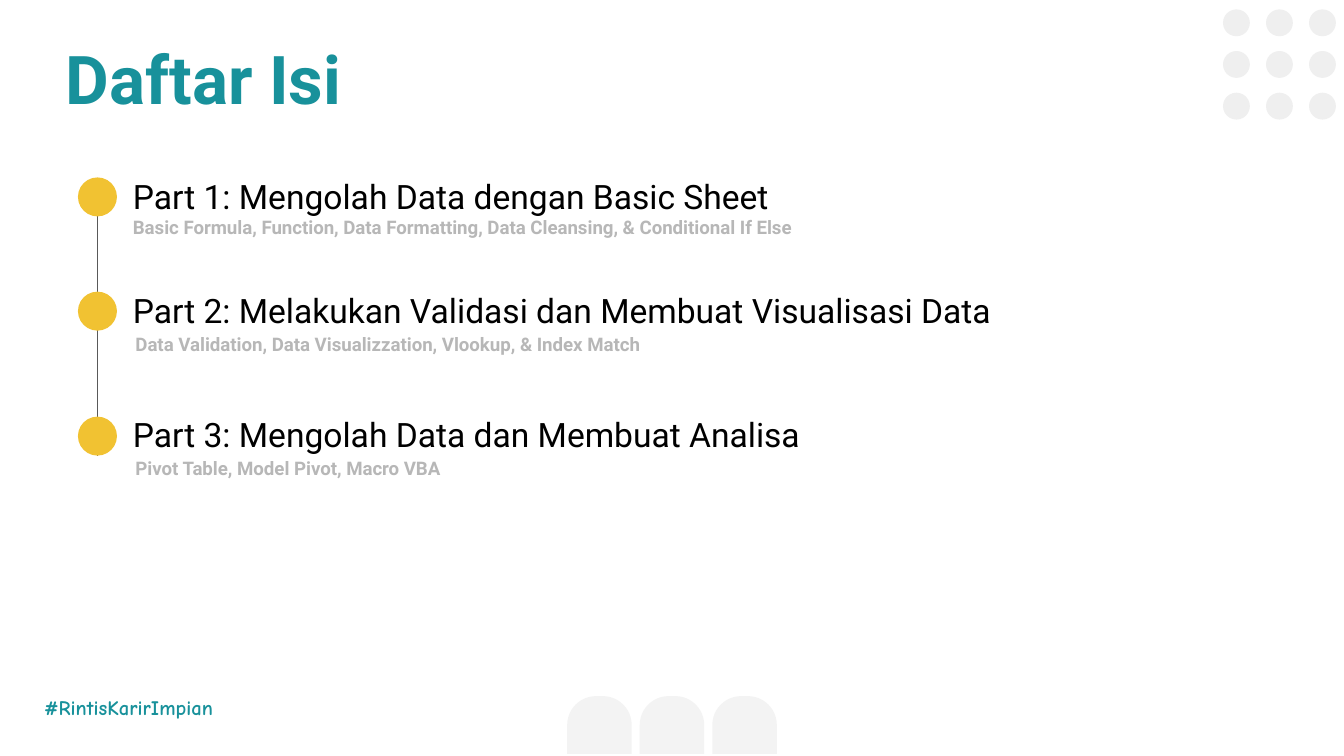
from pptx import Presentation
from pptx.dml.color import RGBColor
from pptx.enum.shapes import MSO_CONNECTOR, MSO_SHAPE
from pptx.enum.text import MSO_ANCHOR
from pptx.oxml.ns import qn
from pptx.util import Inches, Pt
from lxml import etree

OVAL = MSO_SHAPE.OVAL
ARCH = MSO_SHAPE.ROUND_2_SAME_RECTANGLE
STRAIGHT = MSO_CONNECTOR.STRAIGHT
TOP = MSO_ANCHOR.TOP
MIDDLE = MSO_ANCHOR.MIDDLE

TEAL = RGBColor(0x18, 0x91, 0x9B)
YELLOW = RGBColor(0xF1, 0xC2, 0x32)
BLACK = RGBColor(0x00, 0x00, 0x00)
GREY = RGBColor(0xB7, 0xB7, 0xB7)
DARK_GREY = RGBColor(0x59, 0x59, 0x59)
DOT_GREY = RGBColor(0xEF, 0xEF, 0xEF)
ARCH_GREY = RGBColor(0xF3, 0xF3, 0xF3)

HEADING = (18, BLACK, False)
TOPICS = (10, GREY, True)
MARKER = 0.29


class ContentsSlide:
    """Draws the elements of a contents slide in one shared style."""

    def __init__(self, page, font="Roboto"):
        self.page = page
        self.font = font

    def shape(self, kind, left, top, width, height, color):
        shape = self.page.shapes.add_shape(
            kind, Inches(left), Inches(top), Inches(width), Inches(height))
        shape.shadow.inherit = False
        shape.fill.solid()
        shape.fill.fore_color.rgb = color
        shape.line.fill.background()
        return shape

    def line(self, x, top, bottom):
        line = self.page.shapes.add_connector(
            STRAIGHT, Inches(x), Inches(top), Inches(x), Inches(bottom))
        line.line.color.rgb = DARK_GREY
        line.line.width = Pt(0.75)
        etree.SubElement(line._element.spPr, qn("a:effectLst"))

    def text(self, left, top, width, height, lines, anchor=TOP, font=None):
        box = self.page.shapes.add_textbox(
            Inches(left), Inches(top), Inches(width), Inches(height))
        frame = box.text_frame
        frame.word_wrap = True
        frame.vertical_anchor = anchor
        frame.margin_left = frame.margin_right = Inches(0.1)
        frame.margin_top = frame.margin_bottom = Inches(0.1)
        frame.text = "\n".join(words for words, style in lines)
        for para, (words, (size, color, bold)) in zip(frame.paragraphs, lines):
            span = para.runs[0]
            span.font.name = font or self.font
            span.font.size = Pt(size)
            span.font.color.rgb = color
            span.font.bold = bold


def main():
    deck = Presentation()
    deck.slide_width = Inches(10)
    deck.slide_height = Inches(10 * 9 / 16)
    slide = ContentsSlide(deck.slides.add_slide(deck.slide_layouts[6]))

    for column in range(3):
        arch = slide.shape(ARCH, 4.22 + 0.54 * column, 5.18, 0.48, 0.43, ARCH_GREY)
        arch.adjustments[0] = 0.5
    for row in range(3):
        for column in range(3):
            slide.shape(OVAL, 9.1 + 0.32 * column, 0.07 + 0.31 * row, 0.2, 0.2, DOT_GREY)

    slide.text(0.23, 5.08, 1.57, 0.39, [("#RintisKarirImpian", (11, TEAL, True))],
               font="Comic Neue")
    slide.text(0.39, 0.18, 8.62, 0.81, [("Daftar Isi", (36, TEAL, True))])

    slide.line(0.58 + MARKER / 2, 1.61, 3.39)
    for top in (1.32, 2.17, 3.1):
        slide.shape(OVAL, 0.58, top, MARKER, MARKER, YELLOW)

    slide.text(0.89, 1.21, 6.31, 0.67, [
        ("Part 1: Mengolah Data dengan Basic Sheet", HEADING),
        ("Basic Formula, Function, Data Formatting, Data Cleansing, & Conditional If Else",
         TOPICS)])
    parts = [
        (2.06, 6.83, "Part 2: Melakukan Validasi dan Membuat Visualisasi Data",
         "Data Validation, Data Visualizzation, Vlookup, & Index Match"),
        (2.98, 7.52, "Part 3: Mengolah Data dan Membuat Analisa",
         "Pivot Table, Model Pivot, Macro VBA"),
    ]
    for top, width, heading, topics in parts:
        slide.text(0.89, top, width, 0.5, [(heading, HEADING)])
        slide.text(0.91, top + 0.23, 4.3, 0.54, [(topics, TOPICS)], MIDDLE)

    deck.save("out.pptx")


if __name__ == "__main__":
    main()
